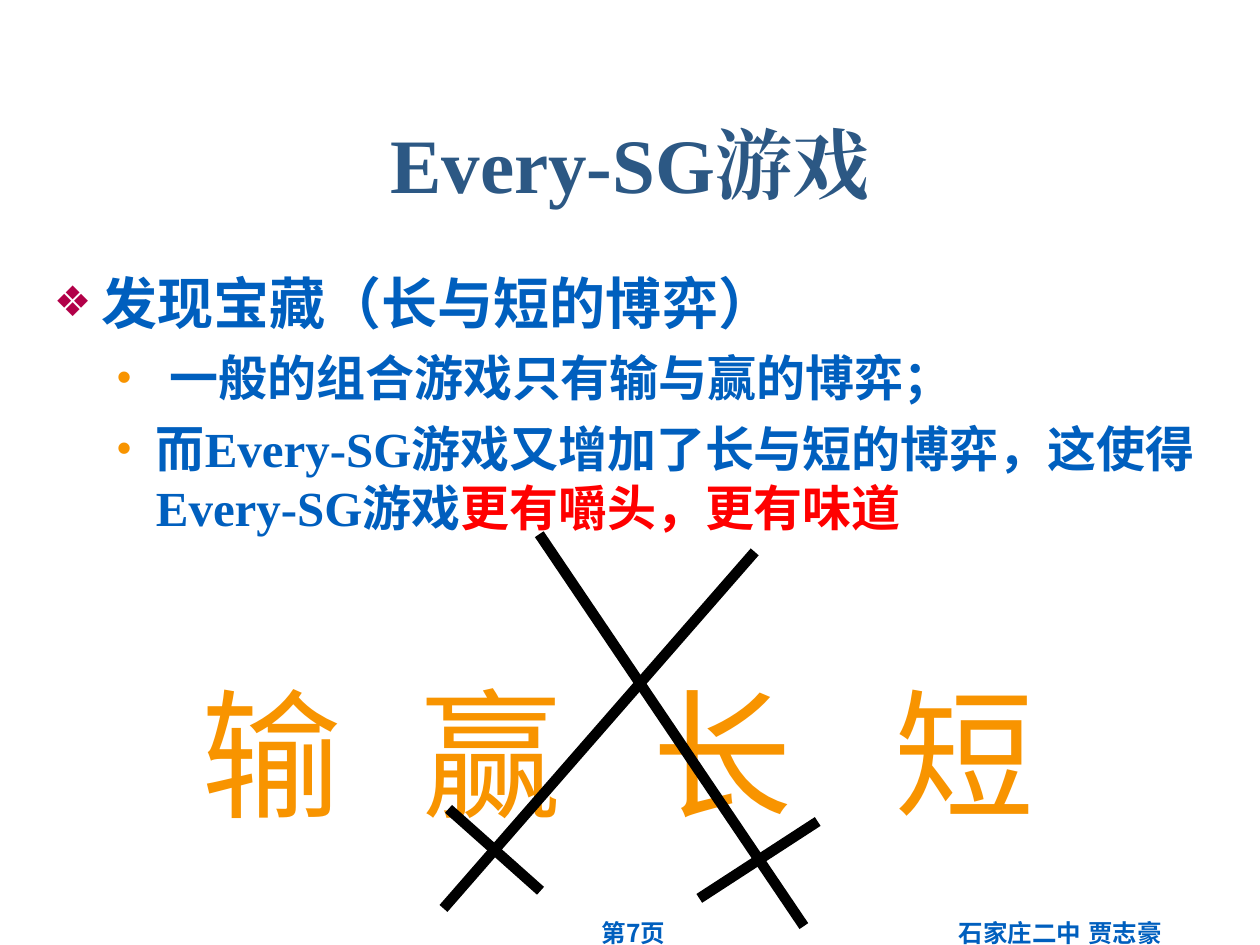
"""Build the Every-SG game slide."""
from dataclasses import dataclass
from typing import Any

import pptx
import pptx.dml.color
import pptx.enum.shapes
import pptx.enum.text
import pptx.oxml.ns
import pptx.util
from lxml import etree

Inches = pptx.util.Inches
Pt = pptx.util.Pt
RGBColor = pptx.dml.color.RGBColor
ALIGN = pptx.enum.text.PP_ALIGN
qn = pptx.oxml.ns.qn

BLUE = RGBColor(0x00, 0x5F, 0xBE)
NAVY = RGBColor(0x2C, 0x58, 0x84)
GOLD = RGBColor(0xF8, 0x94, 0x00)
WINE = RGBColor(0xB2, 0x00, 0x48)
RED = RGBColor(0xFF, 0x00, 0x00)
BLACK = RGBColor(0x00, 0x00, 0x00)
ARIAL = "Arial"
TIMES = "Times New Roman"
MONO = "Noto Sans Mono"
HAN = "Noto Sans CJK SC"


@dataclass(frozen=True)
class Run:
    text: str
    size: float
    face: str = ARIAL
    color: RGBColor = BLUE
    bold: bool = True
    asian: str = ARIAL


@dataclass(frozen=True)
class Mark:
    sign: str
    color: RGBColor
    scale: int
    left: float
    hang: float


@dataclass(frozen=True)
class Item:
    level: int
    mark: Mark
    space: float
    runs: tuple[Run, ...]


@dataclass(frozen=True)
class Label:
    left: float
    top: float
    width: float
    height: float
    run: Run
    align: Any


@dataclass(frozen=True)
class Stroke:
    x1: float
    y1: float
    x2: float
    y2: float


STAR = Mark("❖", WINE, 75, 0.38, 0.38)
DOT = Mark("•", GOLD, 85, 0.81, 0.31)
ITEMS = (
    Item(0, STAR, 0, (Run("发现宝藏（长与短的博弈）", 32),)),
    Item(1, DOT, 7, (Run(" 一般的组合游戏只有输与赢的博弈；", 28),)),
    Item(1, DOT, 7, (
        Run("而", 28),
        Run("Every-SG游戏又增加了", 28, TIMES),
        Run("长与短的博弈，", 28),
        Run("这使得", 28, HAN),
        Run("Every-SG", 28, TIMES),
        Run("游戏", 28, HAN),
        Run("更有嚼头，更有味道", 28, color=RED),
    )),
)
FOOT = (
    Label(6.83, 7.24, 3.17, 0.52, Run("石家庄二中 贾志豪", 14), ALIGN.CENTER),
    Label(3.78, 7.24, 2.5, 0.52, Run("第7页", 14, "Noto Sans CJK KR"), ALIGN.CENTER),
)
WORDS = tuple(
    Label(left, 5.25, 1.5, 1.44, Run(word, 80, MONO, GOLD, False, MONO), ALIGN.LEFT)
    for word, left in zip("输赢长短", (1.5, 3.25, 5.08, 7))
)
SWORDS = (
    Stroke(5.99, 4.38, 3.52, 7.21),
    Stroke(3.56, 6.42, 4.29, 7.07),
    Stroke(5.55, 7.13, 6.49, 6.52),
    Stroke(4.28, 4.24, 6.38, 7.35),
)


def add_run(para: Any, run: Run) -> None:
    """Append one styled run."""
    part = para.add_run()
    part.text = run.text
    font = part.font
    font.size = Pt(run.size)
    font.bold = run.bold
    font.color.rgb = run.color
    font.name = run.face
    latin = font._element.find(qn("a:latin"))
    latin.addnext(etree.Element(qn("a:ea"), typeface=run.asian))


def add_mark(para: Any, mark: Mark) -> None:
    """Give a paragraph its bullet and hanging indent."""
    props = para._p.get_or_add_pPr()
    props.set("marL", str(Inches(mark.left)))
    props.set("indent", str(-Inches(mark.hang)))
    tint = etree.SubElement(props, qn("a:buClr"))
    etree.SubElement(tint, qn("a:srgbClr"), val=str(mark.color))
    etree.SubElement(props, qn("a:buSzPct"), val=str(mark.scale * 1000))
    etree.SubElement(props, qn("a:buFont"), typeface=ARIAL)
    etree.SubElement(props, qn("a:buChar"), char=mark.sign)


def add_box(slide: Any, left: float, top: float, width: float, height: float) -> Any:
    """Add a wrapping text box and return its frame."""
    box = slide.shapes.add_textbox(
        Inches(left), Inches(top), Inches(width), Inches(height)
    )
    box.text_frame.word_wrap = True
    return box.text_frame


def add_label(slide: Any, label: Label) -> None:
    """Add a box that holds a single run."""
    frame = add_box(slide, label.left, label.top, label.width, label.height)
    para = frame.paragraphs[0]
    para.alignment = label.align
    add_run(para, label.run)


def add_title(slide: Any) -> None:
    """Place and fill the title."""
    title = slide.shapes.title
    title.left, title.top = Inches(0.33), Inches(0.67)
    title.width, title.height = Inches(9.34), Inches(1.25)
    frame = title.text_frame
    frame.vertical_anchor = pptx.enum.text.MSO_ANCHOR.MIDDLE
    para = frame.paragraphs[0]
    para.alignment = ALIGN.CENTER
    add_run(para, Run("Every-SG游戏", 44, TIMES, NAVY, asian=TIMES))


def add_list(slide: Any) -> None:
    """Add the bulleted text."""
    frame = add_box(slide, 0.33, 2.08, 9.34, 4.59)
    for index, item in enumerate(ITEMS):
        para = frame.add_paragraph() if index else frame.paragraphs[0]
        para.level = item.level
        add_mark(para, item.mark)
        para.space_before = Pt(item.space)
        for run in item.runs:
            add_run(para, run)


def add_stroke(slide: Any, stroke: Stroke) -> None:
    """Add one thick black line."""
    line = slide.shapes.add_connector(
        pptx.enum.shapes.MSO_CONNECTOR.STRAIGHT,
        Inches(stroke.x1), Inches(stroke.y1), Inches(stroke.x2), Inches(stroke.y2),
    )
    line.line.color.rgb = BLACK
    line.line.width = Pt(6)
    etree.SubElement(line._element.spPr, qn("a:effectLst"))


def main() -> None:
    """Build and save the deck."""
    deck = pptx.Presentation()
    deck.slide_width, deck.slide_height = Inches(10), Inches(7.5)
    slide = deck.slides.add_slide(deck.slide_layouts[5])
    add_title(slide)
    add_list(slide)
    for label in FOOT + WORDS:
        add_label(slide, label)
    for stroke in SWORDS:
        add_stroke(slide, stroke)
    deck.save("out.pptx")


if __name__ == "__main__":
    main()
